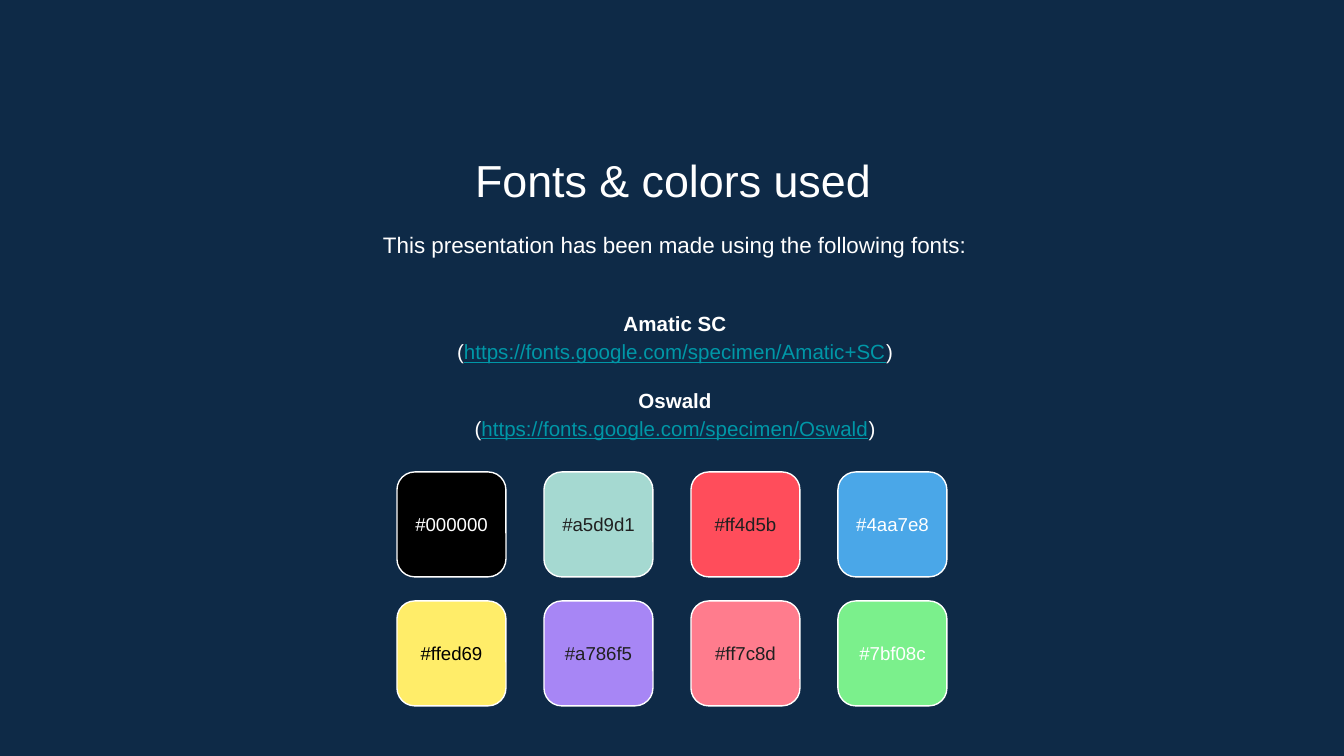
"""Build a slide that lists the fonts and the colour palette of a presentation."""
from pptx import Presentation
from pptx.dml.color import RGBColor
from pptx.enum.shapes import MSO_SHAPE
from pptx.enum.text import MSO_ANCHOR, PP_ALIGN
from pptx.util import Emu, Pt

PX = 914400 / 134.4
WHITE = "FFFFFF"
INK = "202020"


def rgb(hex_code):
    return RGBColor.from_string(hex_code.lstrip("#").upper())


def write(frame, text, size=10, color=WHITE, bold=False, underline=False,
          new_line=False, spacing=None, before=None, anchor=MSO_ANCHOR.TOP):
    frame.word_wrap = True
    frame.vertical_anchor = anchor
    frame.margin_left = frame.margin_right = Emu(round(13 * PX))
    frame.margin_top = frame.margin_bottom = Emu(round(13 * PX))
    paragraph = frame.add_paragraph() if new_line else frame.paragraphs[-1]
    paragraph.alignment = PP_ALIGN.CENTER
    if spacing:
        paragraph.line_spacing = spacing
    if before:
        paragraph.space_before = Pt(before)
    run = paragraph.add_run()
    run.text = text
    run.font.name = "Arial"
    run.font.size = Pt(size)
    run.font.bold = bold
    run.font.underline = underline
    run.font.color.rgb = rgb(color)


def box(*lengths):
    return [Emu(round(length * PX)) for length in lengths]


presentation = Presentation()
presentation.slide_width, presentation.slide_height = box(1344, 756)
slide = presentation.slides.add_slide(presentation.slide_layouts[5])
slide.background.fill.solid()
slide.background.fill.fore_color.rgb = rgb("0E2A47")

heading = slide.shapes.title
heading.left, heading.top, heading.width, heading.height = box(155, 140, 1036, 71)
write(heading.text_frame, "Fonts & colors used", size=24)

intro = slide.shapes.add_textbox(*box(157, 214, 1036, 65)).text_frame
write(intro, "This presentation has been made using the following fonts:",
      size=12, spacing=1.15)

font_list = slide.shapes.add_textbox(*box(157, 282, 1036, 184)).text_frame
font_links = [
    ("Amatic SC", "https://fonts.google.com/specimen/Amatic+SC"),
    ("Oswald", "https://fonts.google.com/specimen/Oswald"),
]
for index, (font_name, address) in enumerate(font_links):
    line = {"size": 11, "spacing": 1.15, "anchor": MSO_ANCHOR.MIDDLE}
    write(font_list, font_name, bold=True, new_line=index > 0,
          before=10.6 if index else None, **line)
    write(font_list, "(", new_line=True, **line)
    write(font_list, address, color="0097A7", underline=True, **line)
    write(font_list, ")", **line)

palette = [
    [("#000000", WHITE), ("#a5d9d1", INK), ("#ff4d5b", INK), ("#4aa7e8", WHITE)],
    [("#ffed69", "000000"), ("#a786f5", INK), ("#ff7c8d", INK), ("#7bf08c", WHITE)],
]
for row, colors in enumerate(palette):
    for column, (hex_code, label_color) in enumerate(colors):
        left = 397 + 147 * column
        top = 472 + 129 * row
        swatch = slide.shapes.add_shape(MSO_SHAPE.ROUNDED_RECTANGLE,
                                        *box(left, top, 109, 105))
        swatch.adjustments[0] = 0.17
        swatch.shadow.inherit = False
        swatch.fill.solid()
        swatch.fill.fore_color.rgb = rgb(hex_code)
        swatch.line.color.rgb = rgb(WHITE)
        swatch.line.width = Pt(0.75)
        label = slide.shapes.add_textbox(*box(left, top + 22, 109, 60)).text_frame
        write(label, hex_code, color=label_color, anchor=MSO_ANCHOR.MIDDLE)

presentation.save("out.pptx")
